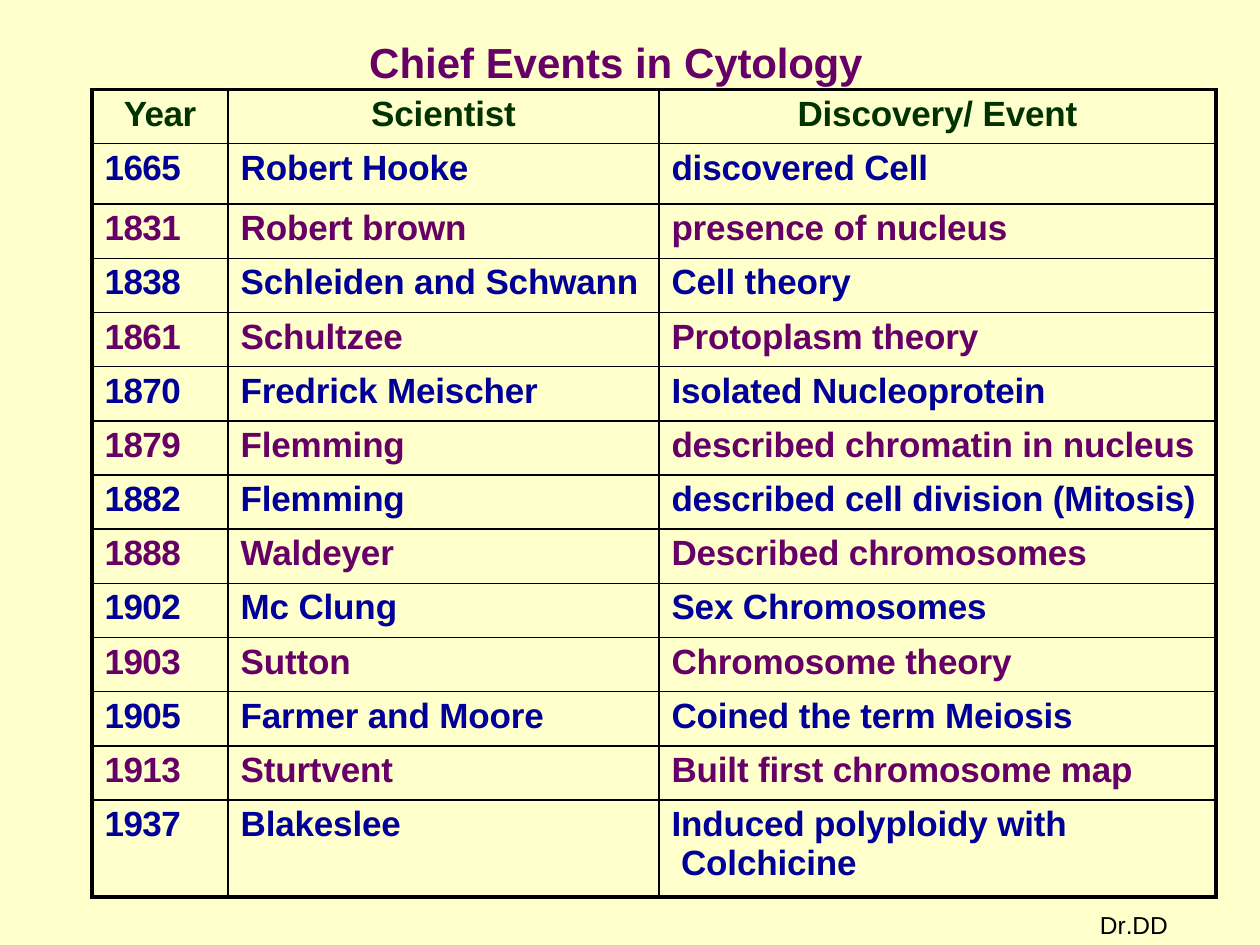
from lxml.etree import SubElement
from pptx import Presentation
from pptx.dml.color import RGBColor
from pptx.enum.text import PP_ALIGN
from pptx.oxml import parse_xml
from pptx.oxml.ns import nsdecls
from pptx.util import Inches, Pt

CREAM, GREEN, BLUE, PLUM, BLACK = "FFFFCC", "003300", "000099", "660066", "000000"


def add_run(para, text, size, color, bold, space=0):
    """Append a styled run; space is letter spacing in points."""
    run = para.add_run()
    run.text = text
    font = run.font
    font.name, font.size, font.bold = "Arial", Pt(size), bold
    font.color.rgb = RGBColor.from_string(color)
    if space:
        font._element.set("spc", str(round(space * 100)))


def add_line(cell, index, side, width):
    """Draw one cell border; borders must precede the fill in the XML."""
    line = parse_xml(f'<a:ln{side} {nsdecls("a")} w="{Pt(width)}"><a:solidFill>'
                     f'<a:srgbClr val="{BLACK}"/></a:solidFill></a:ln{side}>')
    cell._tc.get_or_add_tcPr().insert(index, line)


deck = Presentation()
deck.slide_width, deck.slide_height = Inches(10), Inches(7.5)
slide = deck.slides.add_slide(deck.slide_layouts[6])
back = slide.background.fill
back.solid()
back.fore_color.rgb = RGBColor.from_string(CREAM)

# Table of events
events = [
    ("Year", "Scientist", "Discovery/ Event"),
    ("1665", "Robert Hooke", "discovered Cell"),
    ("1831", "Robert brown", "presence of nucleus"),
    ("1838", "Schleiden and Schwann", "Cell theory"),
    ("1861", "Schultzee", "Protoplasm theory"),
    ("1870", "Fredrick Meischer", "Isolated Nucleoprotein"),
    ("1879", "Flemming", "described chromatin in nucleus"),
    ("1882", "Flemming", "described cell division (Mitosis)"),
    ("1888", "Waldeyer", "Described chromosomes"),
    ("1902", "Mc Clung", "Sex Chromosomes"),
    ("1903", "Sutton", "Chromosome theory"),
    ("1905", "Farmer and Moore", "Coined the term Meiosis"),
    ("1913", "Sturtvent", "Built first chromosome map"),
    ("1937", "Blakeslee", "Induced polyploidy with\n Colchicine"),
]
widths = [1.08, 3.42, 4.42]
heights = [0.43, 0.48] + [0.43] * 11 + [0.77]
last_row, last_col = len(events) - 1, len(widths) - 1

frame = slide.shapes.add_table(len(events), len(widths), Inches(0.73), Inches(0.71),
                               Inches(sum(widths)), Inches(sum(heights)))
table = frame.table
table.horz_banding = table.first_row = False
for col, width in zip(table.columns, widths):
    col.width = Inches(width)
for row, height in zip(table.rows, heights):
    row.height = Inches(height)

for r, event in enumerate(events):
    color = GREEN if r == 0 else BLUE if r % 2 else PLUM
    for c, text in enumerate(event):
        cell = table.cell(r, c)
        cell.margin_left = cell.margin_right = cell.margin_bottom = 0
        cell.margin_top = Inches(0.04)
        cell.fill.solid()
        cell.fill.fore_color.rgb = RGBColor.from_string(CREAM)
        outer = {"L": c == 0, "R": c == last_col, "T": r == 0, "B": r == last_row}
        for i, (side, thick) in enumerate(outer.items()):
            add_line(cell, i, side, 2.25 if thick else 1)
        para = cell.text_frame.paragraphs[0]
        para.space_before = Pt(3)
        if r == 0:
            para.alignment = PP_ALIGN.CENTER
        else:
            para._p.get_or_add_pPr().set("marL", str(Inches(0.1)))
        for i, part in enumerate(text.split("\n")):
            if i:
                para.add_line_break()
            add_run(para, part, 20, color, True, -0.3 if c == 0 else -0.1)

# Title and author
labels = [
    (2.92, 0.28, 3.95, 0.43, 24, PLUM, True, [("Chief Events in ", 0), ("Cytology", -0.1)]),
    (8.72, 7.21, 0.56, 0.26, 14, BLACK, False, [("D", -0.1), ("r", -0.8), (".DD", -0.1)]),
]
for left, top, width, height, size, color, bold, runs in labels:
    box = slide.shapes.add_textbox(Inches(left), Inches(top), Inches(width), Inches(height))
    body = box.text_frame
    body.word_wrap = True
    body.margin_right = body.margin_bottom = 0
    body.margin_left = body.margin_top = Inches(0.01)
    para = body.paragraphs[0]
    para.space_before = Pt(1)
    for text, space in runs:
        add_run(para, text, size, color, bold, space)

deck.save("out.pptx")
